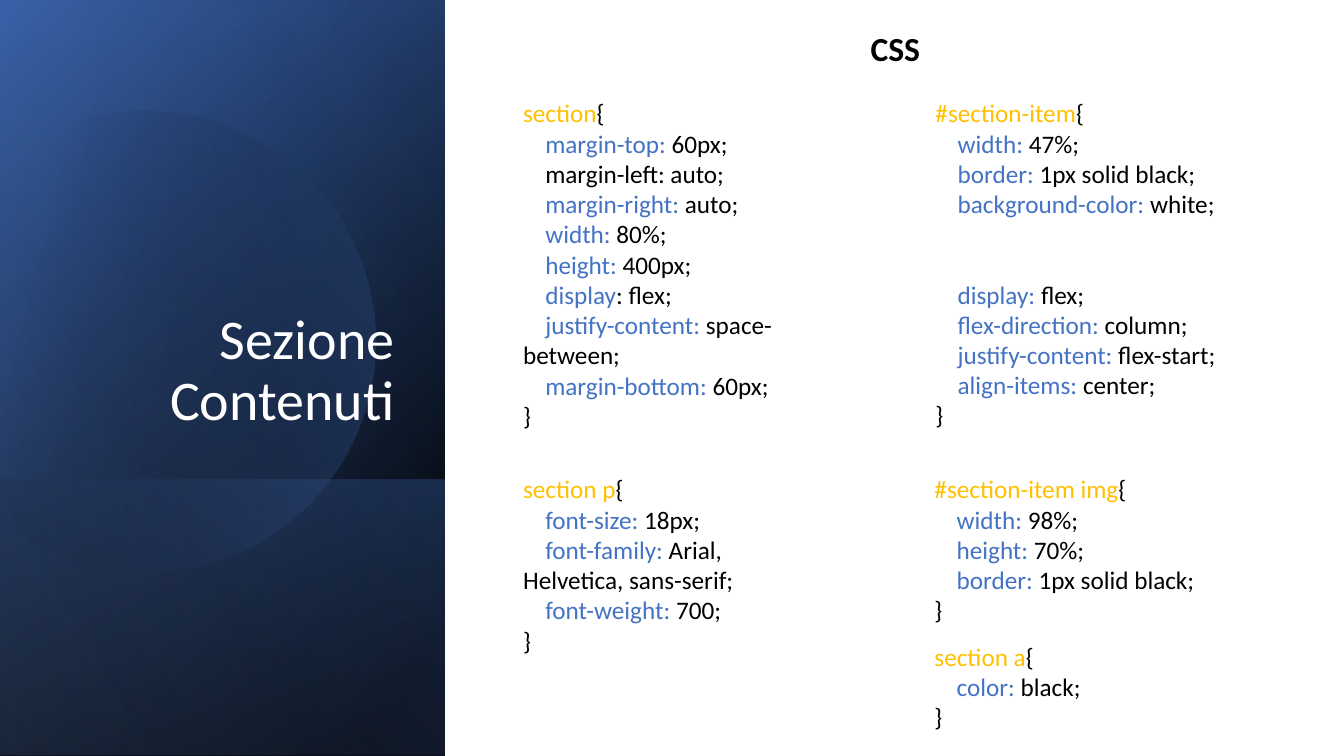
"""Build the slide that lists the CSS rules of the content section."""
from dataclasses import dataclass
from itertools import pairwise
from math import cos, radians, sin, tan

from lxml.etree import SubElement
from pptx import Presentation
from pptx.dml.color import RGBColor
from pptx.enum.shapes import MSO_SHAPE
from pptx.enum.text import MSO_ANCHOR, MSO_AUTO_SIZE, PP_ALIGN
from pptx.oxml.ns import qn
from pptx.shapes.autoshape import Shape
from pptx.slide import Slide
from pptx.text.text import _Paragraph
from pptx.util import Inches, Pt

FONT = "Calibri"
BLACK, WHITE, BLUE, GOLD = "000000", "FFFFFF", "4472C4", "FFC000"
WIDTH, HEIGHT, PANEL = 13.33, 7.5, 4.42


@dataclass
class Stop:
    pos: int
    color: str
    opacity: int = 100


@dataclass
class Gradient:
    angle: int
    start: Stop
    end: Stop


@dataclass
class Shade:
    left: float
    top: float
    width: float
    gradient: Gradient


@dataclass
class Declaration:
    name: str
    value: str
    gap: int = 0


@dataclass
class Rule:
    left: float
    top: float
    height: float
    selector: str
    declarations: list[Declaration]


D = Declaration
SHADES_BEHIND = [
    Shade(-1.54, 1.54, HEIGHT, Gradient(50, Stop(8, BLACK), Stop(100, "2F5597"))),
    Shade(-1.54, 1.55, HEIGHT, Gradient(30, Stop(0, BLACK, 0), Stop(99, BLUE, 46))),
    Shade(0.84, 3.92, 2.74, Gradient(130, Stop(2, BLUE, 29), Stop(100, BLACK, 30))),
]
DISC = Gradient(30, Stop(29, BLACK, 0), Stop(100, BLUE, 43))
SHADE_FRONT = Shade(-1.54, 1.53, HEIGHT,
                    Gradient(120, Stop(0, BLACK, 0), Stop(99, "8FAADC", 11)))

RULES = [
    Rule(5.09, 0.92, 3.43, "section", [
        D("margin-top:", " 60px;"),
        D("", "margin-left: auto;"),
        D("margin-right:", " auto;"),
        D("width:", " 80%;"),
        D("height:", " 400px;"),
        D("display", ": flex;"),
        D("justify-content:", " space-between;"),
        D("margin-bottom:", " 60px;"),
    ]),
    Rule(9.18, 0.92, 3.43, "#section-item", [
        D("width:", " 47%;"),
        D("border:", " 1px solid black;"),
        D("background-color:", " white;"),
        D("display:", " flex;", gap=43),
        D("flex-direction:", " column;"),
        D("justify-content:", " flex-start;"),
        D("align-items:", " center;"),
    ]),
    Rule(5.09, 4.65, 1.92, "section p", [
        D("font-size:", " 18px;"),
        D("font-family:", " Arial, Helvetica, sans-serif;"),
        D("font-weight:", " 700;"),
    ]),
    Rule(9.17, 4.65, 1.62, "#section-item img", [
        D("width:", " 98%;"),
        D("height:", " 70%;"),
        D("border:", " 1px solid black;"),
    ]),
    Rule(9.17, 6.31, 1.31, "section a", [D("color:", " black;")]),
]


def rgb(color: str) -> RGBColor:
    return RGBColor.from_string(color)


def fill_gradient(sp: Shape, gradient: Gradient) -> None:
    sp.shadow.inherit = False
    sp.line.fill.background()
    sp.fill.gradient()
    grad = sp._element.spPr.find(qn("a:gradFill"))
    grad.set("rotWithShape", "1")
    for child in list(grad):
        grad.remove(child)
    stops = SubElement(grad, qn("a:gsLst"))
    for stop in (gradient.start, gradient.end):
        gs = SubElement(stops, qn("a:gs"), pos=str(stop.pos * 1000))
        clr = SubElement(gs, qn("a:srgbClr"), val=stop.color)
        if stop.opacity < 100:
            SubElement(clr, qn("a:alpha"), val=str(stop.opacity * 1000))
    SubElement(grad, qn("a:lin"), ang=str(gradient.angle * 60000), scaled="0")


def add_rect(s: Slide, left: float, top: float, width: float, height: float) -> Shape:
    return s.shapes.add_shape(MSO_SHAPE.RECTANGLE, Inches(left), Inches(top),
                              Inches(width), Inches(height))


def add_white(s: Slide, left: float, width: float, outlined: bool) -> None:
    sp = add_rect(s, left, 0, width, HEIGHT)
    sp.shadow.inherit = False
    sp.fill.solid()
    sp.fill.fore_color.rgb = rgb(WHITE)
    if outlined:
        sp.line.color.rgb = rgb(WHITE)
        sp.line.width = Pt(1)
    else:
        sp.line.fill.background()


def add_shade(s: Slide, shade: Shade) -> None:
    sp = add_rect(s, shade.left, shade.top, shade.width, PANEL)
    sp.rotation = 90
    sp._element.spPr.find(qn("a:xfrm")).set("flipH", "1")
    fill_gradient(sp, shade.gradient)


def arc_point(angle: float, offset: float = 0) -> tuple[int, int]:
    cx, cy, radius = 1.43, 3.35, 2.29
    c, n = cos(radians(angle)), sin(radians(angle))
    return Inches(cx + radius * (c - offset * n)), Inches(cy + radius * (n + offset * c))


def add_disc(s: Slide) -> None:
    angles = (242, 270, 360, 450, 510)
    points = []
    for a, b in pairwise(angles):
        reach = 4 / 3 * tan(radians(b - a) / 4)
        points += [arc_point(a, reach), arc_point(b, -reach), arc_point(b)]
    builder = s.shapes.build_freeform(*arc_point(angles[0]))
    builder.add_line_segments(points, close=True)
    sp = builder.convert_to_shape()
    lines = list(sp._element.iter(qn("a:lnTo")))
    for i in range(0, len(lines), 3):
        curve = lines[i].makeelement(qn("a:cubicBezTo"))
        lines[i].addprevious(curve)
        for line in lines[i:i + 3]:
            curve.append(line[0])
            line.getparent().remove(line)
    sp.rotation = 343.9
    fill_gradient(sp, DISC)


def add_text(s: Slide, left: float, top: float, width: float, height: float) -> Shape:
    sp = s.shapes.add_textbox(Inches(left), Inches(top), Inches(width), Inches(height))
    sp.text_frame.word_wrap = True
    return sp


def add_run(p: _Paragraph, text: str, color: str) -> None:
    r = p.add_run()
    r.text = text
    r.font.name, r.font.size, r.font.color.rgb = FONT, Pt(18), rgb(color)


def add_heading(s: Slide, box: tuple[float, float, float, float], text: str,
                size: int, color: str, align: PP_ALIGN) -> Shape:
    sp = add_text(s, *box)
    p = sp.text_frame.paragraphs[0]
    p.text = text
    p.alignment = align
    for r in p.runs:
        r.font.name, r.font.size, r.font.color.rgb = FONT, Pt(size), rgb(color)
    return sp


def add_rule(s: Slide, rule: Rule) -> None:
    tf = add_text(s, rule.left, rule.top, 3, rule.height).text_frame
    tf.auto_size = MSO_AUTO_SIZE.SHAPE_TO_FIT_TEXT
    p = tf.paragraphs[0]
    add_run(p, rule.selector, GOLD)
    add_run(p, "{", BLACK)
    for declaration in rule.declarations:
        p = tf.add_paragraph()
        p._p.get_or_add_pPr().set("indent", str(Inches(0.22)))
        if declaration.gap:
            p.space_before = Pt(declaration.gap)
        if declaration.name:
            add_run(p, declaration.name, BLUE)
        add_run(p, declaration.value, BLACK)
    add_run(tf.add_paragraph(), "}", BLACK)


def main() -> None:
    prs = Presentation()
    prs.slide_width, prs.slide_height = Inches(WIDTH), Inches(HEIGHT)
    s = prs.slides.add_slide(prs.slide_layouts[6])
    add_white(s, 0, WIDTH, outlined=False)
    for shade in SHADES_BEHIND:
        add_shade(s, shade)
    add_disc(s)
    add_shade(s, SHADE_FRONT)
    add_white(s, PANEL, WIDTH - PANEL, outlined=True)
    title = add_heading(s, (0.51, 0.64, 3.5, 3.7), "Sezione\vContenuti", 40, WHITE, PP_ALIGN.RIGHT)
    title.text_frame.vertical_anchor = MSO_ANCHOR.BOTTOM
    title.text_frame.paragraphs[0].line_spacing = 0.9
    css = add_heading(s, (7.38, 0.23, 3, 0.5), "CSS", 24, BLACK, PP_ALIGN.CENTER)
    css.text_frame.paragraphs[0].runs[0].font.bold = True
    for rule in RULES:
        add_rule(s, rule)
    prs.save("out.pptx")


if __name__ == "__main__":
    main()
